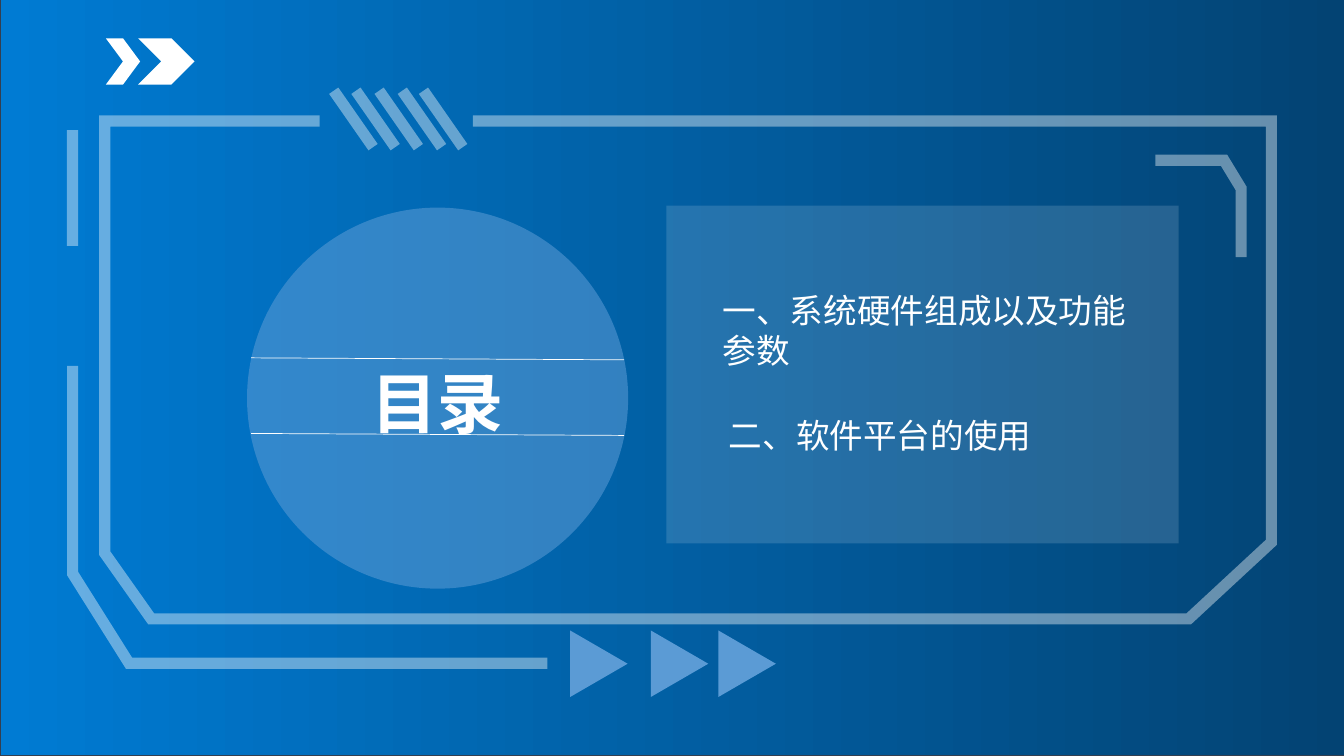
from dataclasses import dataclass

from lxml import etree
from pptx import Presentation, util as u
from pptx.dml.color import RGBColor
from pptx.enum import shapes, text
from pptx.oxml import ns

WHITE = RGBColor(0xFF, 0xFF, 0xFF)
BACKDROP = RGBColor(0x33, 0x3F, 0x50)
BRIGHT_BLUE = RGBColor(0x00, 0x7B, 0xD3)
DEEP_BLUE = RGBColor(0x03, 0x43, 0x73)
SKY = RGBColor(0x5B, 0x9B, 0xD5)
PALE = RGBColor(0xD4, 0xE4, 0xF0)
CJK_FONT = "Noto Sans CJK SC"
FRAME_WIDTH, FRAME_ALPHA = 8, 40
SHAPE = shapes.MSO_SHAPE


@dataclass
class Box:
    left: float
    top: float
    width: float
    height: float

    def emu(self) -> list[int]:
        return [u.Inches(v) for v in (self.left, self.top, self.width, self.height)]


@dataclass
class Block:
    kind: int
    box: Box
    color: RGBColor
    alpha: int = 100
    rotation: float = 0


@dataclass
class Segment:
    x1: float
    y1: float
    x2: float
    y2: float
    width: float = FRAME_WIDTH
    alpha: int = FRAME_ALPHA


@dataclass
class Label:
    words: str
    box: Box
    size: float
    spacing: float
    font: str = CJK_FONT
    bold: bool = False
    align: int = text.PP_ALIGN.LEFT


def add_alpha(parent, percent: int) -> None:
    if percent < 100:
        color = parent.find(".//" + ns.qn("a:srgbClr"))
        etree.SubElement(color, ns.qn("a:alpha"), val=str(percent * 1000))


def style_line(line, width: float, alpha: int) -> None:
    line.color.rgb = WHITE
    line.width = u.Pt(width)
    ln = line._get_or_add_ln()
    add_alpha(ln, alpha)
    etree.SubElement(ln, ns.qn("a:miter"), lim="800000")


def add_block(s, block: Block):
    sp = s.shapes.add_shape(block.kind, *block.box.emu())
    sp.shadow.inherit = False
    sp.fill.solid()
    sp.fill.fore_color.rgb = block.color
    add_alpha(sp._element.spPr, block.alpha)
    sp.line.fill.background()
    sp.rotation = block.rotation
    return sp


def add_segment(s, seg: Segment) -> None:
    ends = [u.Inches(v) for v in (seg.x1, seg.y1, seg.x2, seg.y2)]
    line = s.shapes.add_connector(shapes.MSO_CONNECTOR.STRAIGHT, *ends)
    style_line(line.line, seg.width, seg.alpha)
    etree.SubElement(line._element.spPr, ns.qn("a:effectLst"))


def add_outline(s, points: list[tuple[float, float]]) -> None:
    corners = [(u.Inches(x), u.Inches(y)) for x, y in points]
    builder = s.shapes.build_freeform(*corners[0])
    builder.add_line_segments(corners[1:], close=False)
    sp = builder.convert_to_shape()
    sp.shadow.inherit = False
    sp.fill.background()
    style_line(sp.line, FRAME_WIDTH, FRAME_ALPHA)


def add_label(s, label: Label) -> None:
    tf = s.shapes.add_textbox(*label.box.emu()).text_frame
    tf.word_wrap = True
    tf.text = label.words
    p = tf.paragraphs[0]
    p.alignment = label.align
    p.line_spacing = u.Pt(label.spacing)
    r = p.runs[0]
    r.font.name = label.font
    r.font.size = u.Pt(label.size)
    r.font.bold = label.bold
    r.font.color.rgb = WHITE
    etree.SubElement(r.font._element, ns.qn("a:ea"), typeface=CJK_FONT)


OUTLINES = [
    [(4.69, 1.2), (12.61, 1.2), (12.61, 5.38), (11.79, 6.14),
     (1.5, 6.14), (1.04, 5.49), (1.04, 1.2), (3.17, 1.2)],
    [(0.72, 3.63), (0.72, 5.69), (1.28, 6.58), (5.43, 6.58)],
    [(11.46, 1.59), (12.14, 1.59), (12.31, 1.87), (12.31, 2.55)],
]
HATCHES = [Segment(x, 0.9, x + 0.39, 1.46) for x in (3.31, 3.53, 3.76, 3.99, 4.2)]
SIDE_BAR = Segment(0.72, 1.29, 0.72, 2.44)
TITLE_RULES = [Segment(2.49, y, 6.19, y + 0.02, 0.5, 100) for y in (3.55, 4.3)]
CHEVRONS = [Block(SHAPE.CHEVRON, Box(x, 0.38, w, 0.46), WHITE)
            for x, w in ((1.05, 0.34), (1.37, 0.56))]
DISC = Block(SHAPE.OVAL, Box(2.45, 2.06, 3.78, 3.78), SKY, 56)
ARROWS = [Block(SHAPE.ISOSCELES_TRIANGLE, Box(x, 6.3, 0.66, 0.57), SKY, rotation=90)
          for x in (5.61, 6.41, 7.08)]
PANEL = Block(SHAPE.RECTANGLE, Box(6.61, 2.04, 5.08, 3.35), PALE, 17)
TITLE = Label("目录", Box(2.52, 3.5, 3.64, 0.9), 47.2, 60, "Calibri", True,
              text.PP_ALIGN.CENTER)
ITEMS = [
    Label("一、系统硬件组成以及功能参数", Box(7.07, 2.82, 4.45, 1.11), 24, 29),
    Label("二、软件平台的使用", Box(7.13, 4.06, 3.55, 0.5), 24, 29),
]


def main() -> None:
    prs = Presentation()
    prs.slide_width, prs.slide_height = u.Inches(13.33), u.Inches(7.5)
    s = prs.slides.add_slide(prs.slide_layouts[6])
    s.background.fill.solid()
    s.background.fill.fore_color.rgb = BACKDROP

    wash = add_block(s, Block(SHAPE.RECTANGLE, Box(0.01, -0.01, 13.33, 7.5), DEEP_BLUE))
    wash.fill.gradient()
    wash.fill.gradient_angle = 0
    for stop, color in zip(wash.fill.gradient_stops, (BRIGHT_BLUE, DEEP_BLUE)):
        stop.color.rgb = color

    for points in OUTLINES:
        add_outline(s, points)
    for seg in [*HATCHES, SIDE_BAR]:
        add_segment(s, seg)
    for block in [*CHEVRONS, DISC]:
        add_block(s, block)
    add_label(s, TITLE)
    for seg in TITLE_RULES:
        add_segment(s, seg)
    for block in [*ARROWS, PANEL]:
        add_block(s, block)
    for label in ITEMS:
        add_label(s, label)

    prs.save("out.pptx")


if __name__ == "__main__":
    main()
